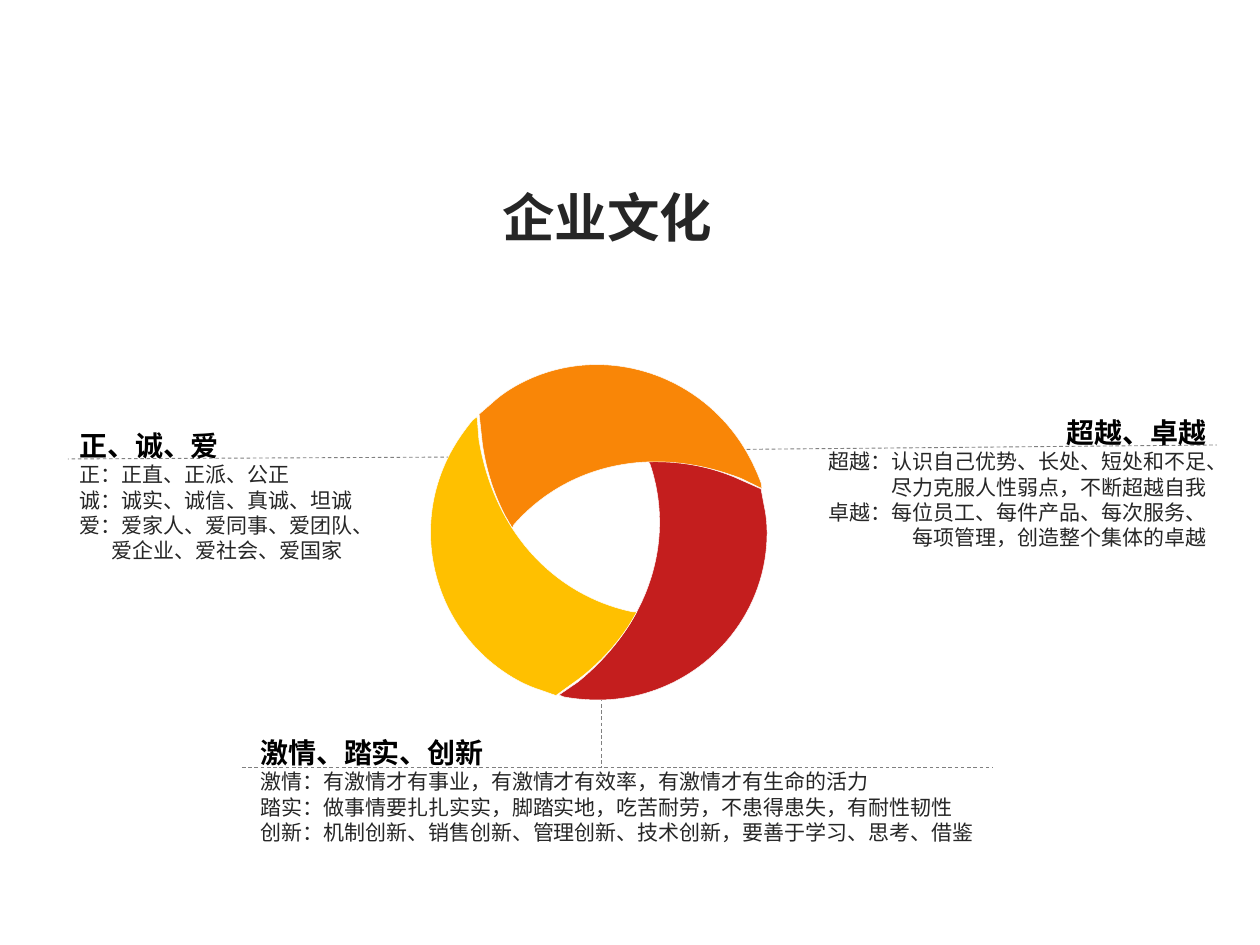
from dataclasses import dataclass

from lxml.etree import SubElement
from pptx import Presentation
from pptx.dml.color import RGBColor
from pptx.enum.dml import MSO_LINE
from pptx.enum.shapes import MSO_CONNECTOR
from pptx.enum.text import MSO_AUTO_SIZE, PP_ALIGN
from pptx.oxml.ns import qn
from pptx.util import Pt

SCALE = 914400 / 126
START = (102, 0)
BLADE = (
    [(89, 0)],
    [(91, 3)],
    [(115, 74), (95, 159), (19, 221)],
    [(0, 234)],
    [(5, 236)],
    [(16, 238), (28, 239), (39, 239)],
    [(132, 239), (208, 164), (208, 72)],
    [(208, 62), (207, 53), (205, 44)],
    [(202, 28)],
    [(175, 16)],
    [(150, 6), (126, 1), START],
)


@dataclass(frozen=True)
class Theme:
    """Colours and type sizes of the slide."""
    font: str = "Calibri"
    ink: str = "262626"
    head: str = "000000"
    rule: str = "808080"
    edge: str = "FFFFFF"
    red: str = "C41E1E"
    orange: str = "F98607"
    yellow: str = "FFC000"
    title_pt: int = 30
    head_pt: int = 16
    body_pt: int = 12


THEME = Theme()


def px(num):
    """Turn px into EMU."""
    return round(num * SCALE)


def rgb(code):
    """Turn a hex code into a colour."""
    return RGBColor.from_string(code)


def style(para, size, color, bold=False):
    """Format the runs of a paragraph."""
    for run in para.runs:
        run.font.name = THEME.font
        run.font.size = Pt(size)
        run.font.bold = bold
        run.font.color.rgb = rgb(color)


def frame(slide, box, wrap):
    """Add a text box and return its text frame."""
    text = slide.shapes.add_textbox(*map(px, box)).text_frame
    text.word_wrap = wrap
    text.auto_size = MSO_AUTO_SIZE.SHAPE_TO_FIT_TEXT
    return text


def title(slide, box, words):
    """Place the centred slide title."""
    para = frame(slide, box, False).paragraphs[0]
    para.text = words
    para.alignment = PP_ALIGN.CENTER
    style(para, THEME.title_pt, THEME.ink, True)


def rule(slide, box, ends):
    """Draw a dashed line between two points of a box."""
    left, top = box[:2]
    x1, y1, x2, y2 = ends
    line = slide.shapes.add_connector(
        MSO_CONNECTOR.STRAIGHT,
        px(left + x1), px(top + y1), px(left + x2), px(top + y2))
    line.line.color.rgb = rgb(THEME.rule)
    line.line.width = Pt(0.5)
    line.line.dash_style = MSO_LINE.DASH
    SubElement(line._element.spPr, qn("a:effectLst"))


def note(slide, box, head, body, rules, align=PP_ALIGN.LEFT, inset=0):
    """Place a headed note with its rules, its last line inset."""
    for ends in rules:
        rule(slide, box, ends)
    text = frame(slide, box, True)
    text.text = "\n".join((head, *body))
    for para in text.paragraphs:
        para.alignment = align
        style(para, THEME.body_pt, THEME.ink)
    first, last = text.paragraphs[0], text.paragraphs[-1]
    first.line_spacing = 1.3
    style(first, THEME.head_pt, THEME.head, True)
    if inset:
        last._p.get_or_add_pPr().set("marL", str(px(inset)))


def bend(shape):
    """Turn the long sides of a blade into curves."""
    sides = list(shape._element.iter(qn("a:lnTo")))
    for side, step in zip(sides, BLADE):
        if len(step) == 3:
            side.tag = qn("a:cubicBezTo")
            side.remove(side[0])
            for x, y in step:
                SubElement(side, qn("a:pt"), x=str(x), y=str(y))


def blade(slide, box, color, turn):
    """Draw one curved blade, fitted to a box and turned."""
    form = slide.shapes.build_freeform(*START, scale=SCALE)
    form.add_line_segments([step[-1] for step in BLADE], close=True)
    shape = form.convert_to_shape()
    bend(shape)
    shape.left, shape.top, shape.width, shape.height = map(px, box)
    shape.rotation = turn
    shape.shadow.inherit = False
    shape.fill.solid()
    shape.fill.fore_color.rgb = rgb(color)
    shape.line.color.rgb = rgb(THEME.edge)
    shape.line.width = Pt(0.25)


def ring(slide, box):
    """Lay three interlocked blades in a round box."""
    left, top = box[:2]
    for x, y, wide, high, color, turn in (
            (129, 97, 208, 239, THEME.red, 0),
            (73, -30, 212, 241, THEME.orange, 240),
            (-9, 80, 208, 241, THEME.yellow, 120)):
        blade(slide, (left + x, top + y, wide, high), color, turn)


def main():
    """Build and save the slide."""
    deck = Presentation()
    deck.slide_width, deck.slide_height = px(1260), px(945)
    slide = deck.slides.add_slide(deck.slide_layouts[6])
    title(slide, (489, 179, 237, 77), "企业文化")
    note(slide, (248, 719, 742, 134), "激情、踏实、创新", (
        "激情：有激情才有事业，有激情才有效率，有激情才有生命的活力",
        "踏实：做事情要扎扎实实，脚踏实地，吃苦耐劳，不患得患失，有耐性韧性",
        "创新：机制创新、销售创新、管理创新、技术创新，要善于学习、思考、借鉴",
    ), [(-6, 48, 745, 48), (353, -40, 353, 48)])
    note(slide, (67, 412, 401, 159), "正、诚、爱", (
        "正：正直、正派、公正",
        "诚：诚实、诚信、真诚、坦诚",
        "爱：爱家人、爱同事、爱团队、",
        "爱企业、爱社会、爱国家",
    ), [(402, 45, 1, 47)], inset=32)
    note(slide, (813, 399, 406, 159), "超越、卓越", (
        "超越：认识自己优势、长处、短处和不足、尽力克服人性弱点，不断超越自我",
        "卓越：每位员工、每件产品、每次服务、",
        "每项管理，创造整个集体的卓越",
    ), [(-135, 51, 404, 46)], align=PP_ALIGN.RIGHT)
    ring(slide, (430, 364, 336, 336))
    deck.save("out.pptx")


if __name__ == "__main__":
    main()
